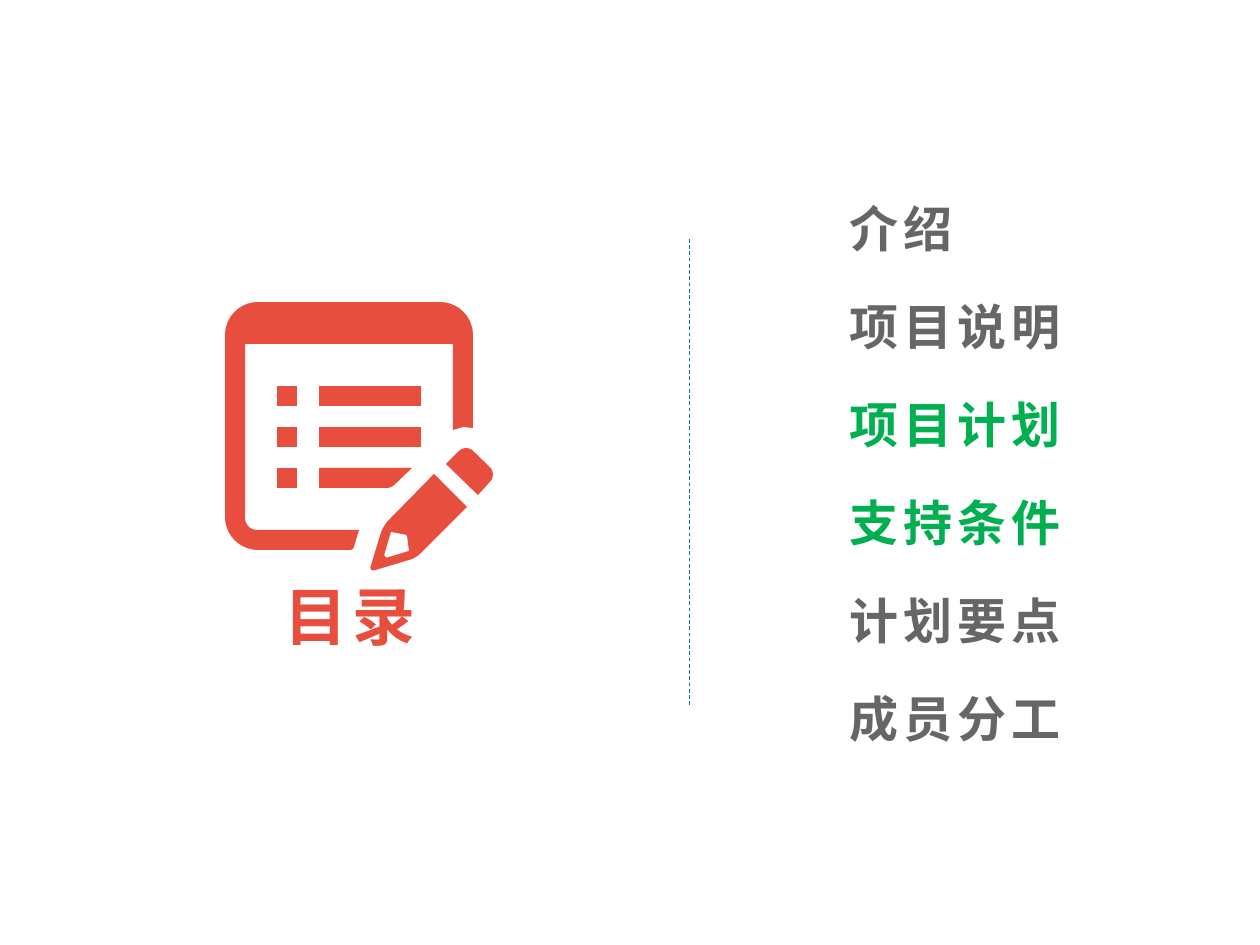
from collections import namedtuple
from math import hypot

from lxml.etree import SubElement
from pptx import Presentation
from pptx.dml.color import RGBColor
from pptx.enum.dml import MSO_LINE
from pptx.enum.shapes import MSO_CONNECTOR
from pptx.enum.text import MSO_AUTO_SIZE, PP_ALIGN
from pptx.oxml.ns import qn
from pptx.util import Pt

PX = 914400 / 126
RED = RGBColor(0xE7, 0x4E, 0x3E)
GREY = RGBColor(0x66, 0x66, 0x66)
GREEN = RGBColor(0x00, 0xB0, 0x50)
BLUE = RGBColor(0x01, 0x74, 0xAB)
FONT = "Noto Sans CJK SC"
Box = namedtuple("Box", "left top width height")

# Corners are (x, y, radius), relative to the icon box.
FRAME = [(0, 0, 33), (248, 0, 33), (248, 126, 0), (238, 125, 0), (228, 128, 0),
         (228, 42, 0), (20, 42, 0), (20, 228, 12), (134, 228, 0),
         (128, 248, 3), (0, 248, 33)]
PENCIL = [(209, 172, 0), (242, 205, 0), (191, 256, 6), (144, 270, 6), (158, 224, 8)]
PENCIL_TIP = [(166, 230, 0), (158, 257, 6), (184, 249, 0), (182, 233, 2)]
ERASER = [(221, 162, 0), (241, 142, 10), (272, 172, 10), (253, 193, 0)]
SHORT_BAR = [(94, 166, 0), (187, 166, 0), (166, 186, 4), (94, 186, 0)]


def emu(pixels):
    return round(pixels * PX)


def rectangle(left, top, width, height):
    right, bottom = left + width, top + height
    return [(left, top, 0), (right, top, 0), (right, bottom, 0), (left, bottom, 0)]


def rounded_outline(corners, box, steps=10):
    """Return the EMU points of a polygon whose corners are rounded by their radius."""
    points = []
    for index, (x, y, radius) in enumerate(corners):
        ends = []
        for near_x, near_y, _ in (corners[index - 1], corners[(index + 1) % len(corners)]):
            share = radius / hypot(near_x - x, near_y - y)
            ends.append((x + (near_x - x) * share, y + (near_y - y) * share))
        (start_x, start_y), (end_x, end_y) = ends
        for step in range(steps + 1 if radius else 1):
            t = step / steps
            # Cubic curve with handles 0.55 of the way to the corner.
            start = (1 - t) ** 3 + 1.35 * t * (1 - t) ** 2
            end = t ** 3 + 1.35 * t ** 2 * (1 - t)
            corner = 1 - start - end
            points.append((emu(box.left + start * start_x + corner * x + end * end_x),
                           emu(box.top + start * start_y + corner * y + end * end_y)))
    return points


def add_outline(shapes, box, *contours):
    """Draw one filled shape; contours after the first are holes."""
    outer, *holes = [rounded_outline(corners, box) for corners in contours]
    builder = shapes.build_freeform(*outer[0], scale=1.0)
    builder.add_line_segments(outer[1:], close=True)
    for hole in holes:
        builder.move_to(*hole[0])
        builder.add_line_segments(hole[1:], close=True)
    shape = builder.convert_to_shape()
    shape.shadow.inherit = False
    shape.fill.solid()
    shape.fill.fore_color.rgb = RED
    shape.line.fill.background()


def add_label(shapes, box, text, size, color, align=PP_ALIGN.LEFT):
    label = shapes.add_textbox(*map(emu, box))
    frame = label.text_frame
    frame.text = text
    frame.word_wrap = True
    frame.auto_size = MSO_AUTO_SIZE.SHAPE_TO_FIT_TEXT
    para = frame.paragraphs[0]
    para.alignment = align
    span = para.runs[0]
    span.font.name = FONT
    span.font.size = Pt(size)
    span.font.bold = True
    span.font.color.rgb = color
    properties = span.font._element
    properties.set("spc", "300")
    SubElement(properties, qn("a:ea")).set("typeface", FONT)


def add_list_icon(shapes, box):
    add_outline(shapes, box, FRAME)
    add_outline(shapes, box, PENCIL, PENCIL_TIP)
    add_outline(shapes, box, ERASER)
    for row in range(3):
        top = 84 + 41 * row
        add_outline(shapes, box, rectangle(52, top, 20, 20))
        add_outline(shapes, box, SHORT_BAR if row == 2 else rectangle(94, top, 102, 20))


def add_heading(shapes, box):
    add_list_icon(shapes, Box(box.left + 49, box.top, 268, 268))
    add_label(shapes, Box(box.left, box.top + 269, box.width, 89),
              "目录", 36, RED, PP_ALIGN.CENTER)


def add_divider(shapes, box):
    line = shapes.add_connector(MSO_CONNECTOR.STRAIGHT, emu(box.left), emu(box.top),
                                emu(box.left), emu(box.top + box.height))
    line.line.color.rgb = BLUE
    line.line.width = Pt(0.5)
    line.line.dash_style = MSO_LINE.DASH
    SubElement(line._element.spPr, qn("a:effectLst"))


def add_contents(shapes, box, entries):
    pitch = box.height / len(entries)
    for index, (text, color) in enumerate(entries):
        add_label(shapes, Box(box.left, box.top + index * pitch, box.width, 72),
                  text, 28, color)


def main():
    deck = Presentation()
    deck.slide_width, deck.slide_height = emu(1260), emu(945)
    page = deck.slides.add_slide(deck.slide_layouts[6])
    add_divider(page.shapes, Box(689, 239, 0, 466))
    add_contents(page.shapes, Box(837, 192, 247, 588), [
        ("介绍", GREY), ("项目说明", GREY), ("项目计划", GREEN),
        ("支持条件", GREEN), ("计划要点", GREY), ("成员分工", GREY)])
    add_heading(page.shapes, Box(176, 302, 348, 358))
    deck.save("out.pptx")


if __name__ == "__main__":
    main()
